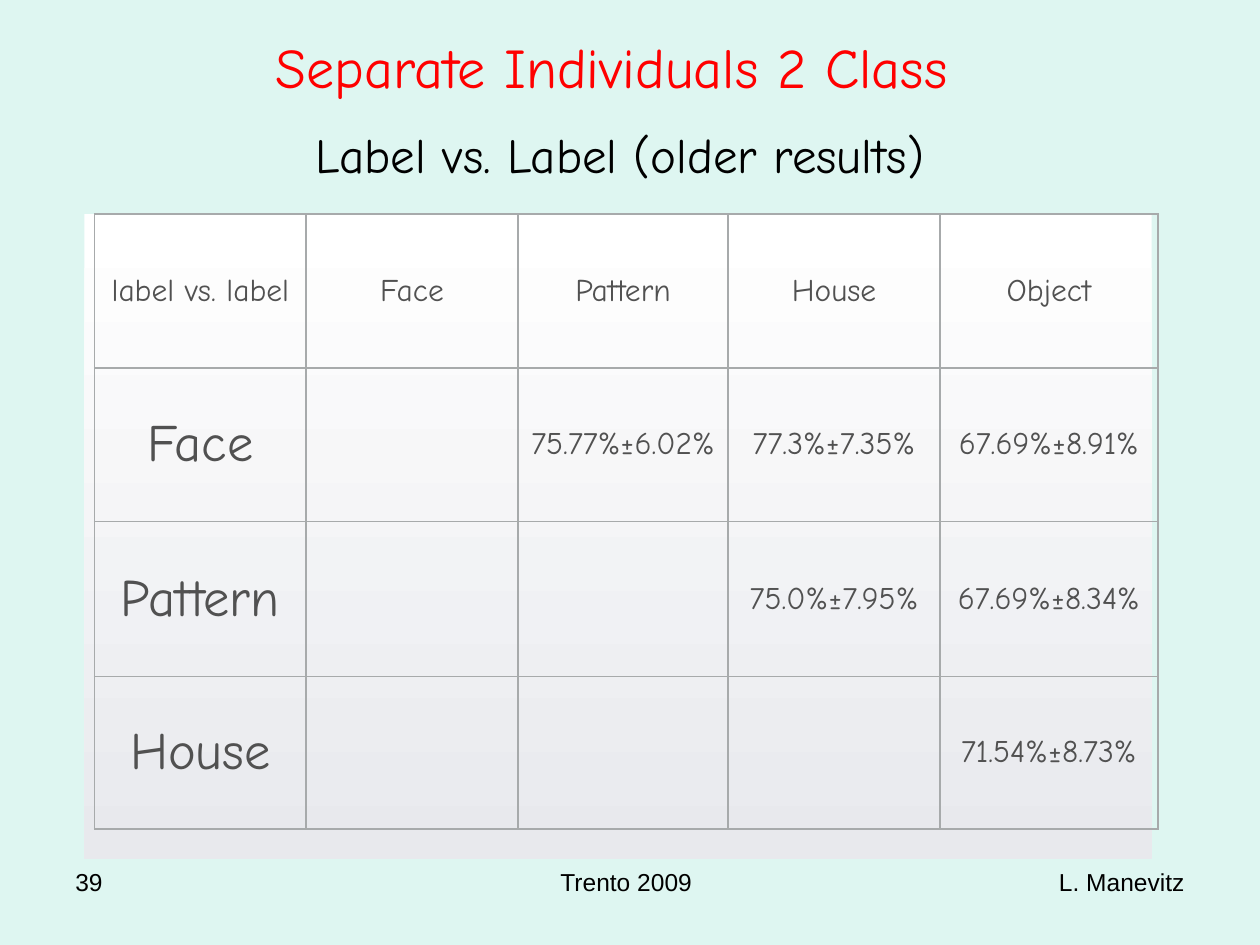
from typing import NamedTuple

from pptx import Presentation
from pptx.dml.color import RGBColor
from pptx.enum.text import MSO_ANCHOR, MSO_AUTO_SIZE, PP_ALIGN
from pptx.enum.shapes import MSO_SHAPE
from pptx.oxml import parse_xml
from pptx.oxml.ns import nsdecls
from pptx.util import Inches, Pt

LEFT, MID, RIGHT = PP_ALIGN.LEFT, PP_ALIGN.CENTER, PP_ALIGN.RIGHT
TOP, CENTRE = MSO_ANCHOR.TOP, MSO_ANCHOR.MIDDLE
FIXED = MSO_AUTO_SIZE.NONE
RECT = MSO_SHAPE.RECTANGLE
TITLE_ONLY = 5

COLORS = {
    "back": "DEF6F1", "title": "FF0000", "text": "000000", "cell": "515151",
    "grid": "A7AAAB", "light": "FFFFFF", "dark": "E8E9ED",
}
HAND, PLAIN = "Comic Neue", "Arial"


class Foot(NamedTuple):
    text: str
    left: float
    width: float
    align: PP_ALIGN


FEET = [
    Foot("39", 0.5, 2.33, LEFT),
    Foot("Trento 2009", 3.35, 3.24, MID),
    Foot("L. Manevitz", 7.17, 2.33, RIGHT),
]
ROWS = [
    ["label vs. label", "Face", "Pattern", "House", "Object"],
    ["Face", "", "75.77%±6.02%", "77.3%±7.35%", "67.69%±8.91%"],
    ["Pattern", "", "", "75.0%±7.95%", "67.69%±8.34%"],
    ["House", "", "", "", "71.54%±8.73%"],
]
WIDTHS = [1.68, 1.68, 1.67, 1.68, 1.73]
HEIGHTS = [1.22, 1.22, 1.23, 1.21]


def rgb(name: str) -> RGBColor:
    return RGBColor.from_string(COLORS[name])


def write(par, text: str, *, size=14, font=PLAIN, color="text", align=MID) -> None:
    par.alignment = align
    run = par.add_run()
    run.text = text
    run.font.size = Pt(size)
    run.font.name = font
    run.font.color.rgb = rgb(color)


def add_foot(slide, foot: Foot) -> None:
    box = slide.shapes.add_textbox(
        Inches(foot.left), Inches(6.83), Inches(foot.width), Inches(0.52))
    box.text_frame.word_wrap = True
    write(box.text_frame.paragraphs[0], foot.text, align=foot.align)


def add_title(slide) -> None:
    title = slide.shapes.title
    title.left, title.top = Inches(1.85), Inches(0.21)
    title.width, title.height = Inches(6.14), Inches(2.04)
    frame = title.text_frame
    frame.word_wrap = True
    frame.auto_size = FIXED
    frame.vertical_anchor = TOP
    head = frame.paragraphs[0]
    write(head, "Separate Individuals 2 Class", size=32, font=HAND, color="title")
    write(head, " ", size=28, font=HAND)
    sub = frame.add_paragraph()
    sub.space_before = Pt(14)
    write(sub, "Label vs. Label (older results)", size=28, font=HAND)


def add_panel(slide) -> None:
    panel = slide.shapes.add_shape(
        RECT, Inches(0.67), Inches(1.7), Inches(8.47), Inches(5.12))
    panel.shadow.inherit = False
    panel.line.fill.background()
    panel.fill.gradient()
    panel.fill.gradient_angle = 270
    for stop, name in zip(panel.fill.gradient_stops, ("light", "dark")):
        stop.color.rgb = rgb(name)


def set_cell(cell, text: str, size: int) -> None:
    cell.vertical_anchor = CENTRE
    cell.margin_left = cell.margin_right = Inches(0.04)
    cell.margin_top = cell.margin_bottom = Inches(0.04)
    if text:
        write(cell.text_frame.paragraphs[0], text,
              size=size, font=HAND, color="cell")
    # Borders come before the fill in the cell properties
    props = cell._tc.get_or_add_tcPr()
    for side in ("lnL", "lnR", "lnT", "lnB"):
        props.append(parse_xml(
            f'<a:{side} {nsdecls("a")} w="{Pt(1)}"><a:solidFill>'
            f'<a:srgbClr val="{COLORS["grid"]}"/></a:solidFill></a:{side}>'))
    cell.fill.background()


def add_grid(slide) -> None:
    table = slide.shapes.add_table(
        len(ROWS), len(WIDTHS), Inches(0.75), Inches(1.7),
        Inches(sum(WIDTHS)), Inches(sum(HEIGHTS))).table
    table.first_row = table.horz_banding = False
    for col, width in zip(table.columns, WIDTHS):
        col.width = Inches(width)
    for r, (row, height) in enumerate(zip(ROWS, HEIGHTS)):
        table.rows[r].height = Inches(height)
        for c, text in enumerate(row):
            set_cell(table.cell(r, c), text, 30 if r and not c else 18)


def main() -> None:
    deck = Presentation()
    deck.slide_width, deck.slide_height = Inches(10), Inches(7.5)
    slide = deck.slides.add_slide(deck.slide_layouts[TITLE_ONLY])
    slide.background.fill.solid()
    slide.background.fill.fore_color.rgb = rgb("back")

    # Footer, then the panel behind the table
    for foot in FEET:
        add_foot(slide, foot)
    add_panel(slide)
    add_grid(slide)
    add_title(slide)
    deck.save("out.pptx")


if __name__ == "__main__":
    main()
